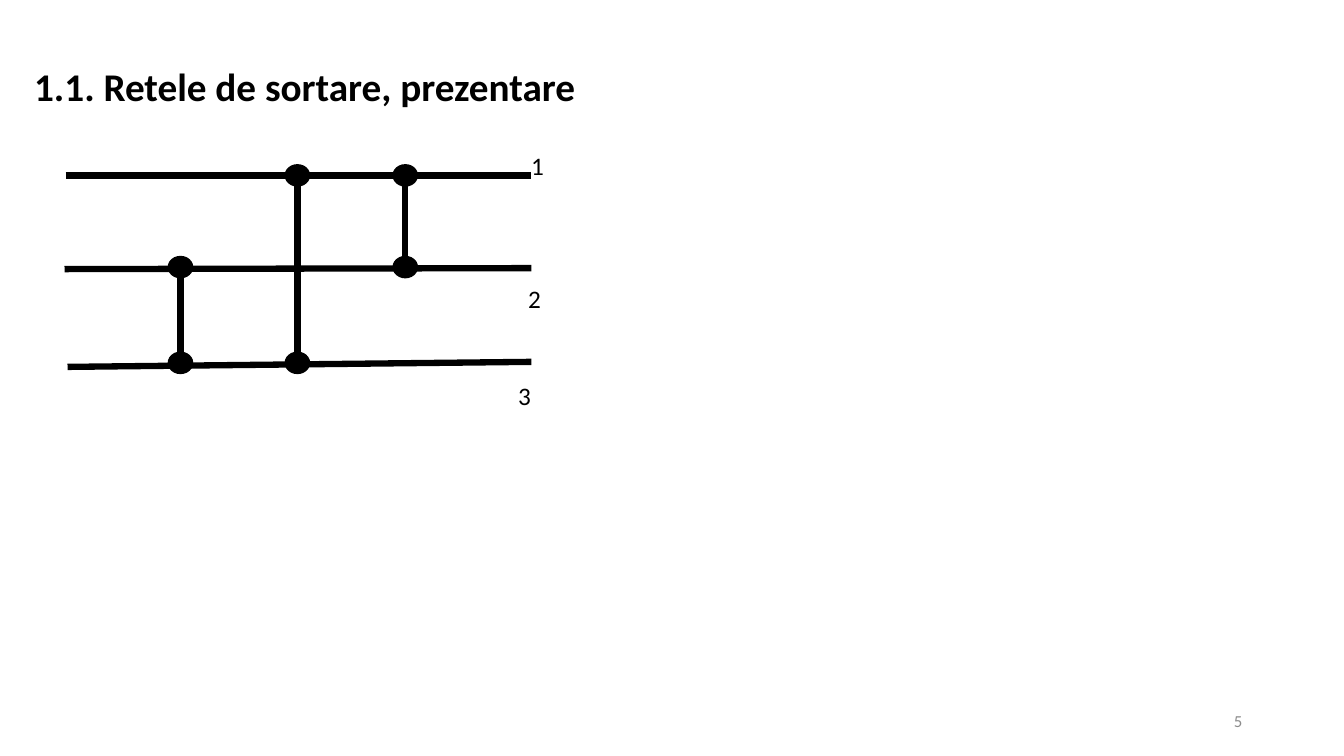
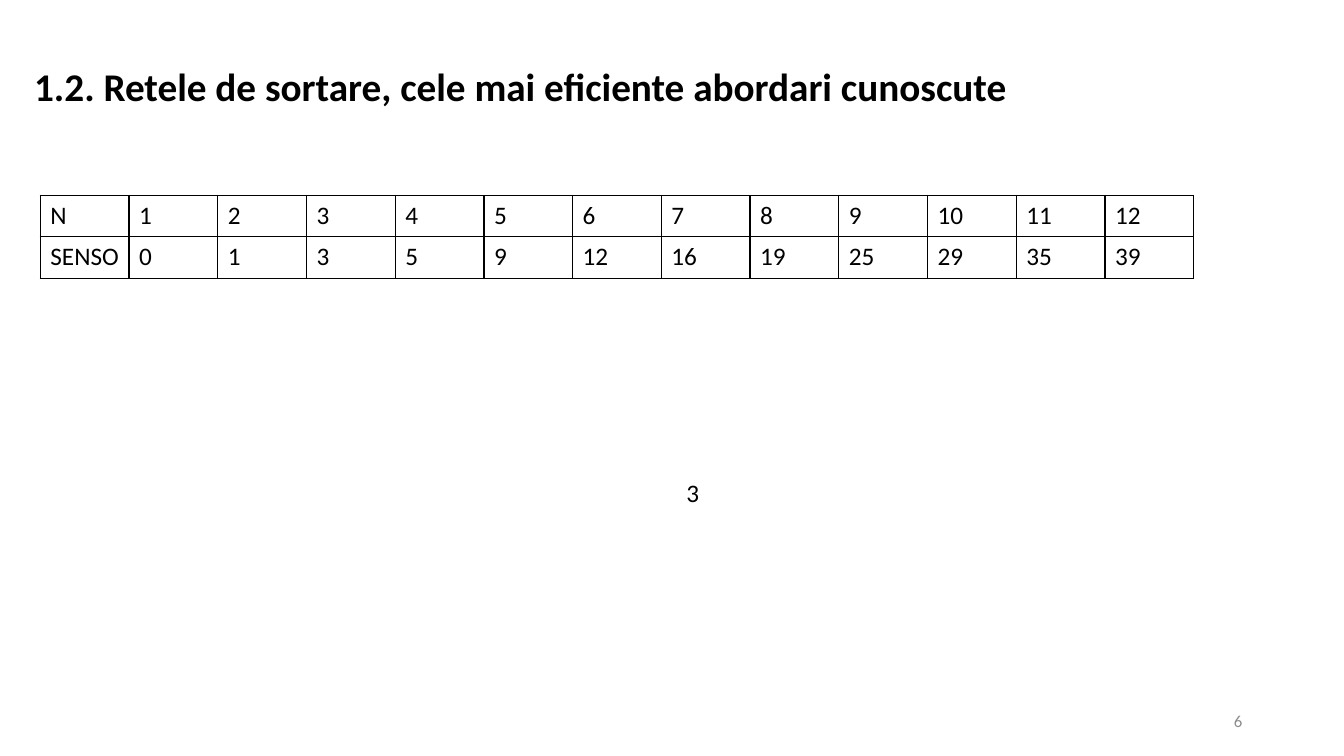
import pptx
import pptx.dml.color
import pptx.enum.shapes
import pptx.enum.text
import pptx.oxml.ns
import pptx.util
from lxml import etree

Inches = pptx.util.Inches
Pt = pptx.util.Pt
MSO_SHAPE = pptx.enum.shapes.MSO_SHAPE
PP_ALIGN = pptx.enum.text.PP_ALIGN
MSO_ANCHOR = pptx.enum.text.MSO_ANCHOR

# Shared style
FONT = "Calibri"
INK = "000000"
MUTED = "8C8C8C"
TITLE_SIZE, BODY_SIZE, NUMBER_SIZE = 28, 18, 12
WIRE_WIDTH = 4.5
DOT_WIDTH, DOT_HEIGHT = 0.24, 0.21

# Sorting network: wires as (x1, y1, x2, y2), comparators as (x, top wire, bottom wire)
WIRES = [(0.65, 1.74, 5.27, 1.74), (0.64, 2.67, 5.27, 2.66), (0.67, 3.64, 5.27, 3.59)]
DOT_LEVELS = [1.74, 2.65, 3.6]
COMPARATORS = [(1.79, 1, 2), (2.95, 0, 2), (4.02, 0, 1)]
WIRE_LABELS = [("1", 5.17, 1.44), ("2", 5.14, 2.76), ("3", 5.04, 3.72)]

# Comparator counts of the best known networks
COUNTS = [
    ["N", *range(1, 13)],
    ["SENSO", 0, 1, 3, 5, 9, 12, 16, 19, 25, 29, 35, 39],
]


def rgb(value):
    return pptx.dml.color.RGBColor.from_string(value)


def style_paragraph(paragraph, size, color=INK, bold=False, align=PP_ALIGN.LEFT):
    paragraph.alignment = align
    paragraph.font.name = FONT
    paragraph.font.size = Pt(size)
    paragraph.font.bold = bold
    paragraph.font.color.rgb = rgb(color)


def add_text(slide, text, left, top, width, height, size=BODY_SIZE,
             anchor=MSO_ANCHOR.TOP, **style):
    box = slide.shapes.add_textbox(Inches(left), Inches(top), Inches(width), Inches(height))
    frame = box.text_frame
    frame.word_wrap = True
    frame.vertical_anchor = anchor
    frame.text = text
    style_paragraph(frame.paragraphs[0], size, **style)


def add_slide(prs, title, number):
    slide = prs.slides.add_slide(prs.slide_layouts[6])
    add_text(slide, title, 0.24, 0.57, 11.09, 0.57, TITLE_SIZE, bold=True)
    add_text(slide, str(number), 9.42, 6.95, 3, 0.4, NUMBER_SIZE,
             anchor=MSO_ANCHOR.MIDDLE, color=MUTED, align=PP_ALIGN.RIGHT)
    return slide


def add_label(slide, text, left, top):
    add_text(slide, text, left, top, 0.41, 0.4)


def add_line(slide, x1, y1, x2, y2):
    line = slide.shapes.add_connector(pptx.enum.shapes.MSO_CONNECTOR.STRAIGHT,
                                      Inches(x1), Inches(y1), Inches(x2), Inches(y2))
    line.line.color.rgb = rgb(INK)
    line.line.width = Pt(WIRE_WIDTH)
    etree.SubElement(line._element.spPr, pptx.oxml.ns.qn("a:effectLst"))


def add_dot(slide, x, y):
    dot = slide.shapes.add_shape(MSO_SHAPE.FLOWCHART_CONNECTOR,
                                 Inches(x - DOT_WIDTH / 2), Inches(y - DOT_HEIGHT / 2),
                                 Inches(DOT_WIDTH), Inches(DOT_HEIGHT))
    dot.shadow.inherit = False
    dot.fill.solid()
    dot.fill.fore_color.rgb = rgb(INK)
    dot.line.color.rgb = rgb(INK)
    dot.line.width = Pt(1)


def add_comparator(slide, x, top_wire, bottom_wire):
    ends = DOT_LEVELS[top_wire], DOT_LEVELS[bottom_wire]
    add_line(slide, x, ends[0], x, ends[1])
    for y in ends:
        add_dot(slide, x, y)


def set_borders(cell):
    qn = pptx.oxml.ns.qn
    properties = cell._tc.get_or_add_tcPr()
    for index, side in enumerate(("a:lnL", "a:lnR", "a:lnT", "a:lnB")):
        border = etree.Element(qn(side), w=str(Pt(1)))
        fill = etree.SubElement(border, qn("a:solidFill"))
        etree.SubElement(fill, qn("a:srgbClr"), val=INK)
        properties.insert(index, border)


def add_grid(slide, rows, left, top, column_width, row_height):
    column_count = len(rows[0])
    table = slide.shapes.add_table(len(rows), column_count, Inches(left), Inches(top),
                                   Inches(column_width * column_count),
                                   Inches(row_height * len(rows))).table
    table.first_row = table.horz_banding = False
    for column in table.columns:
        column.width = Inches(column_width)
    for r, values in enumerate(rows):
        table.rows[r].height = Inches(row_height)
        for c, value in enumerate(values):
            cell = table.cell(r, c)
            cell.text = str(value)
            cell.fill.background()
            style_paragraph(cell.text_frame.paragraphs[0], BODY_SIZE)
            set_borders(cell)


def main():
    prs = pptx.Presentation()
    prs.slide_width, prs.slide_height = Inches(13.33), Inches(7.5)

    # Sorting network with three wires
    network = add_slide(prs, "1.1. Retele de sortare, prezentare", 5)
    for wire in WIRES:
        add_line(network, *wire)
    for comparator in COMPARATORS:
        add_comparator(network, *comparator)
    for label in WIRE_LABELS:
        add_label(network, *label)

    # Best known sizes
    best = add_slide(prs, "1.2. Retele de sortare, cele mai eficiente abordari cunoscute", 6)
    add_label(best, "3", 6.71, 4.69)
    add_grid(best, COUNTS, 0.4, 1.94, 0.88, 0.41)

    prs.save("out.pptx")


if __name__ == "__main__":
    main()
